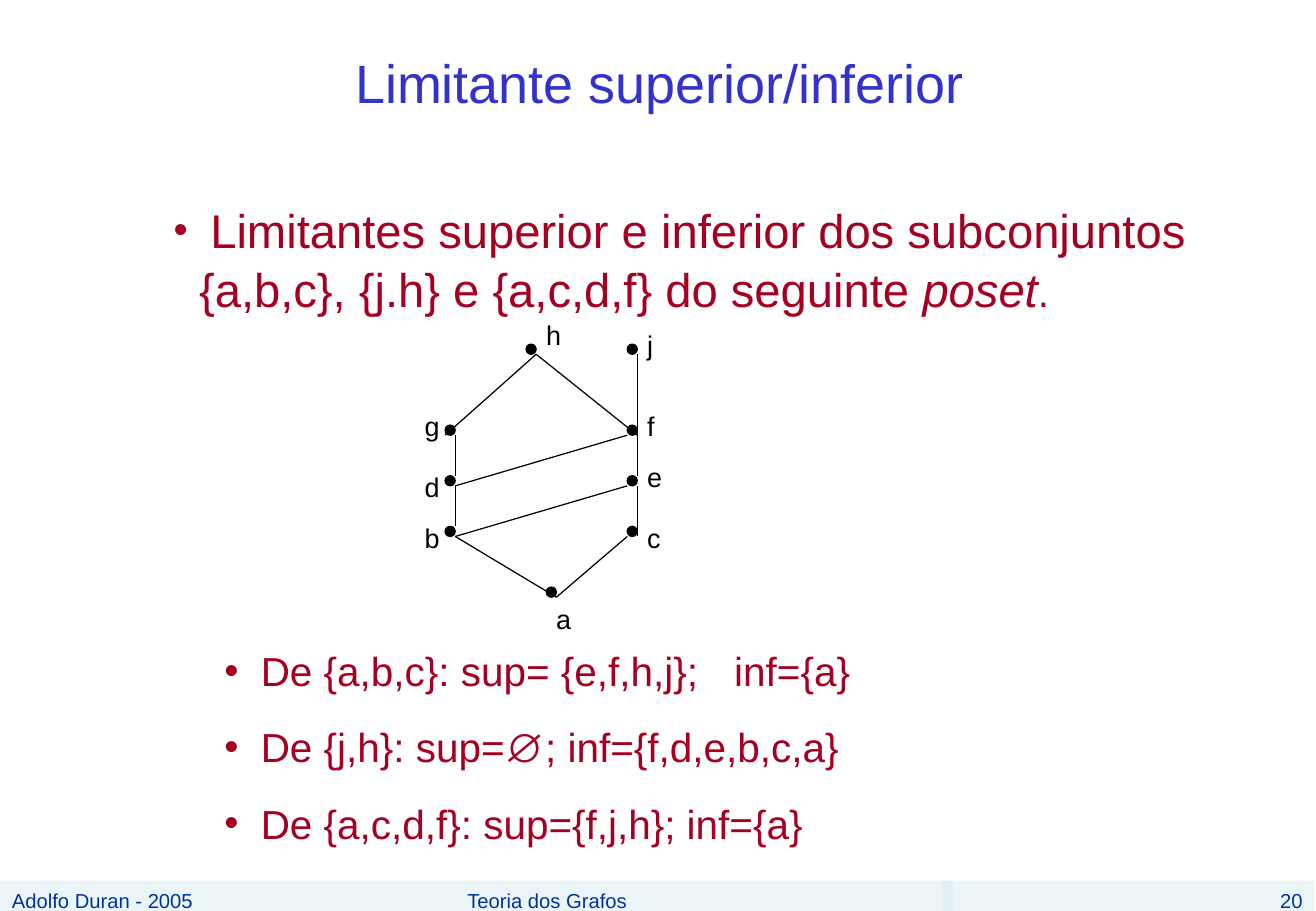
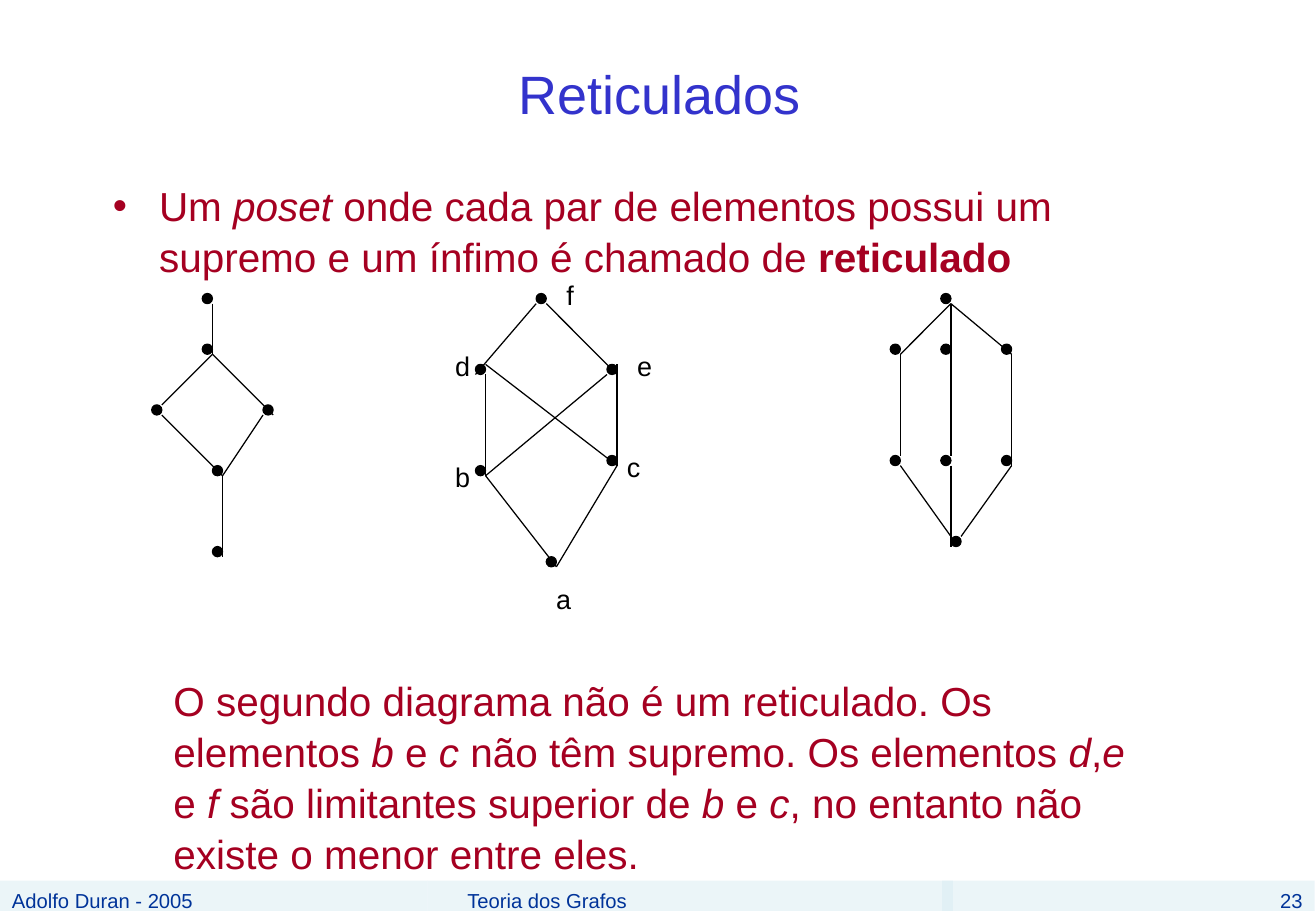
from dataclasses import dataclass

from lxml import etree
from pptx import Presentation
from pptx.dml.color import RGBColor
from pptx.enum.shapes import MSO_CONNECTOR, MSO_SHAPE
from pptx.enum.text import MSO_ANCHOR, MSO_AUTO_SIZE, PP_ALIGN
from pptx.oxml.ns import qn
from pptx.util import Inches, Pt

LEFT, CENTER, RIGHT = PP_ALIGN.LEFT, PP_ALIGN.CENTER, PP_ALIGN.RIGHT
TOP, MIDDLE = MSO_ANCHOR.TOP, MSO_ANCHOR.MIDDLE
OVAL, RECT = MSO_SHAPE.OVAL, MSO_SHAPE.RECTANGLE
LINE = MSO_CONNECTOR.STRAIGHT
NO_FIT = MSO_AUTO_SIZE.NONE


@dataclass(frozen=True)
class Theme:
    font: str = "Arial"
    title: str = "3333CC"
    body: str = "A50021"
    ink: str = "000000"
    band: str = "D9ECF3"
    foot: str = "003399"
    alpha: int = 50
    head: int = 32
    lead: int = 28
    text: int = 24
    label: int = 16
    small: int = 12
    rule: float = 0.75
    pitch: float = 1.05


T = Theme()
SIZE = (10.84, 7.5)
UNIT = 1 / 12  # grid step of the diagrams, also the width of a dot
ITALIC, BOLD = {"italic": True}, {"bold": True}
FOOT_TOP, FOOT_H = 7.25, 0.25
AUTHOR, COURSE = "Adolfo Duran - 2005", "Teoria dos Grafos"

# Diagrams: dots, edges and labels in grid units from the origin "at"
POSET = {
    "at": (44, 34),
    "dots": [(8, 0), (18, 0), (18, 8), (0, 8), (0, 13), (18, 13),
             (0, 18), (18, 18), (10, 24)],
    "edges": [(11, 25, 1, 19), (11, 25, 18, 19), (1, 9, 1, 13),
              (1, 14, 1, 18), (19, 9, 19, 13), (19, 14, 19, 19),
              (9, 1, 0, 9), (9, 1, 19, 9), (19, 9, 19, 1),
              (1, 14, 18, 9), (1, 19, 18, 14)],
    "labels": {"a": (11, 25), "b": (-2, 17), "g": (-2, 6), "d": (-2, 12),
               "c": (20, 17), "e": (20, 11), "f": (20, 6), "j": (20, -2),
               "h": (10, -3)},
}
KITE = {
    "at": (15, 29),
    "dots": [(5, 0), (5, 5), (0, 11), (11, 11), (6, 17), (6, 25)],
    "edges": [(1, 12, 7, 18), (7, 18, 11, 12), (7, 18, 7, 26),
              (6, 6, 1, 11), (6, 6, 12, 12), (6, 1, 6, 6)],
    "labels": {},
}
CROSS = {
    "at": (47, 29),
    "dots": [(6, 0), (0, 7), (13, 7), (13, 16), (0, 17), (7, 26)],
    "edges": [(6, 1, 0, 8), (7, 1, 14, 8), (1, 8, 1, 18), (14, 7, 14, 17),
              (1, 18, 8, 27), (14, 17, 8, 27), (1, 7, 14, 17),
              (13, 8, 1, 18)],
    "labels": {"a": (8, 28), "b": (-2, 16), "c": (15, 15), "d": (-2, 5),
               "e": (16, 5), "f": (9, -2)},
}
CAGE = {
    "at": (88, 29),
    "dots": [(5, 0), (0, 5), (5, 5), (11, 5), (0, 16), (5, 16), (11, 16),
             (6, 24)],
    "edges": [(6, 1, 6, 6), (6, 1, 1, 6), (6, 1, 12, 6), (1, 6, 1, 16),
              (6, 6, 6, 16), (12, 6, 12, 17), (1, 17, 6, 24),
              (6, 17, 6, 25), (12, 17, 7, 24)],
    "labels": {},
}


def rgb(code):
    return RGBColor.from_string(code)


def inch(box):
    return [Inches(n) for n in box]


def put(item, values):
    for key, value in values.items():
        setattr(item, key, value)


def mark(text):
    """Split text into runs; parts between asterisks are italic."""
    return [(part, ITALIC if i % 2 else {})
            for i, part in enumerate(text.split("*"))]


def bullet(para, hang, tab=None):
    props = para._p.get_or_add_pPr()
    props.set("marL", str(Inches(hang)))
    props.set("indent", str(-Inches(hang)))
    tint = etree.SubElement(props, qn("a:buClr"))
    etree.SubElement(tint, qn("a:srgbClr"), val=T.body)
    etree.SubElement(props, qn("a:buFont"), typeface=T.font)
    etree.SubElement(props, qn("a:buChar"), char="•")
    if tab:
        stops = etree.SubElement(props, qn("a:tabLst"))
        etree.SubElement(stops, qn("a:tab"), pos=str(Inches(tab)), algn="l")


def write(frame, paras, size, color, align=LEFT, anchor=TOP, gap=0,
          hang=None, tab=None):
    """Fill a text frame with paragraphs, each a list of (text, format)."""
    put(frame, {"word_wrap": True, "auto_size": NO_FIT,
                "vertical_anchor": anchor})
    for i, runs in enumerate(paras):
        para = frame.add_paragraph() if i else frame.paragraphs[0]
        put(para, {"alignment": align, "line_spacing": T.pitch,
                   "space_before": Pt(gap)})
        if hang is not None:
            bullet(para, hang, tab)
        for text, extra in runs:
            run = para.add_run()
            run.text = text
            put(run.font, {"name": T.font, "size": Pt(size), **extra})
            run.font.color.rgb = rgb(color)


def place(holder, box):
    put(holder, dict(zip(("left", "top", "width", "height"), inch(box))))
    return holder.text_frame


def note(slide, box, paras, size, color, **style):
    frame = slide.shapes.add_textbox(*inch(box)).text_frame
    write(frame, paras, size, color, **style)


def solid(slide, kind, box, color):
    shape = slide.shapes.add_shape(kind, *inch(box))
    shape.shadow.inherit = False
    shape.fill.solid()
    shape.fill.fore_color.rgb = rgb(color)
    return shape


def footer(slide, number):
    """Three translucent bands along the bottom edge."""
    bands = [(3.52, 4.33, COURSE, LEFT, 0.33),
             (7.76, 3.07, str(number), RIGHT, 0.1),
             (0, 3.52, AUTHOR, LEFT, 0.1)]
    for left, width, text, align, inset in bands:
        band = solid(slide, RECT, (left, FOOT_TOP, width, FOOT_H), T.band)
        band.line.fill.background()
        tint = band.fill._xPr.find(".//" + qn("a:srgbClr"))
        etree.SubElement(tint, qn("a:alpha"), val=str(T.alpha * 1000))
        frame = band.text_frame
        frame.margin_left = Inches(inset)
        write(frame, [[(text, {})]], T.small, T.foot, align=align)


def graph(slide, plan):
    """Dots, edges and labels of one diagram, measured from its origin."""
    left, top = plan["at"]

    def spot(x, y):
        return (left + x) * UNIT, (top + y) * UNIT

    for dot in plan["dots"]:
        shape = solid(slide, OVAL, (*spot(*dot), UNIT, UNIT), T.ink)
        shape.line.color.rgb = rgb(T.ink)
        shape.line.width = Pt(T.rule)
    for x1, y1, x2, y2 in plan["edges"]:
        ends = inch(spot(x1, y1) + spot(x2, y2))
        edge = slide.shapes.add_connector(LINE, *ends)
        edge.line.color.rgb = rgb(T.ink)
        edge.line.width = Pt(T.rule)
        etree.SubElement(edge._element.spPr, qn("a:effectLst"))
    for name, where in plan["labels"].items():
        x, y = spot(*where)
        note(slide, (x - 0.1, y - 0.02, 0.4, 0.37), [[(name, {})]],
             T.label, T.ink)


def base(deck, title, height, number):
    """Slide with the shared title style and footer."""
    slide = deck.slides.add_slide(deck.slide_layouts[1])
    frame = place(slide.shapes.title, (0.83, 0.25, 9.21, height))
    write(frame, [[(title, {})]], T.head, T.title, align=CENTER,
          anchor=MIDDLE)
    footer(slide, number)
    return slide


def bounds(deck):
    slide = base(deck, "Limitante superior/inferior", 0.83, 20)
    # Question
    edge = {"size": Pt(T.text)}
    ask = [(" ", edge),
           *mark("Limitantes superior e inferior dos subconjuntos "
                 "{a,b,c}, {j.h} e {a,c,d,f} do seguinte *poset*")[:2],
           (".", edge)]
    frame = place(slide.placeholders[1], (1.33, 1.58, 8.58, 1.04))
    write(frame, [ask], T.lead, T.body, gap=15, hang=0.21)
    graph(slide, POSET)
    # Answers
    sets = ["De {a,b,c}: sup= {e,f,h,j};\tinf={a}",
            "De {j,h}: sup=∅; inf={f,d,e,b,c,a}",
            "De {a,c,d,f}: sup={f,j,h}; inf={a}"]
    note(slide, (1.75, 5.25, 8.5, 1.72), [mark(s) for s in sets],
         T.text, T.body, gap=15, hang=0.3, tab=4.2)


def lattices(deck):
    slide = base(deck, "Reticulados", 1, 23)
    # Definition
    rule = mark("Um *poset* onde cada par de elementos possui um supremo "
                "e um ínfimo é chamado de ") + [("reticulado", BOLD)]
    frame = place(slide.placeholders[1], (0.83, 1.42, 9.21, 5.33))
    write(frame, [rule], T.text, T.body, gap=6, hang=0.38)
    for plan in (KITE, CROSS, CAGE):
        graph(slide, plan)
    # Remark
    end = mark("O segundo diagrama não é um reticulado. Os elementos *b* e "
               "*c* não têm supremo. Os elementos *d*,*e* e *f* são "
               "limitantes superior de *b* e *c*, no entanto não existe o "
               "menor entre eles.")
    note(slide, (1.33, 5.5, 8.25, 1.7), [end], T.text, T.body, gap=15)


def main():
    deck = Presentation()
    deck.slide_width, deck.slide_height = inch(SIZE)
    bounds(deck)
    lattices(deck)
    deck.save("out.pptx")


if __name__ == "__main__":
    main()
